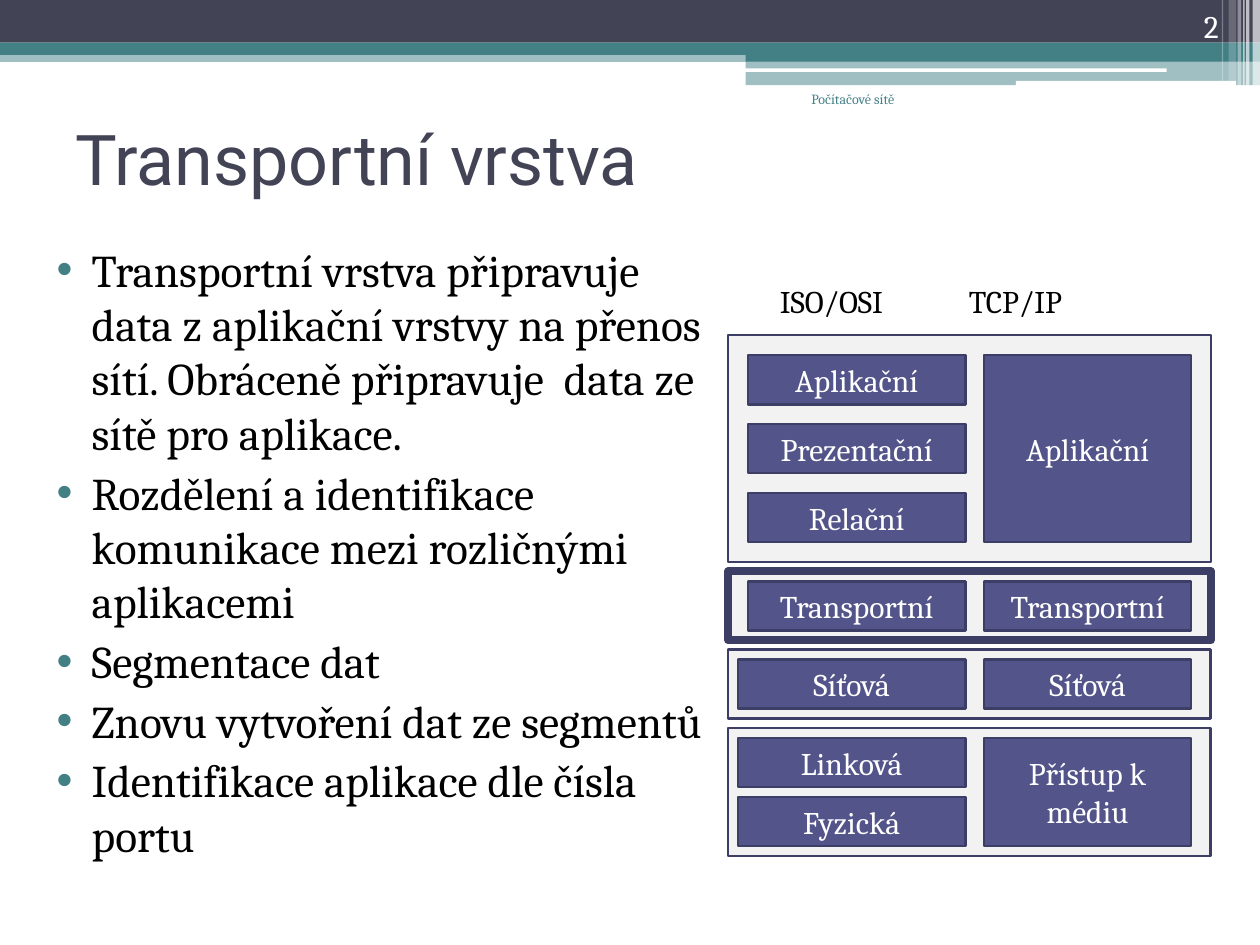
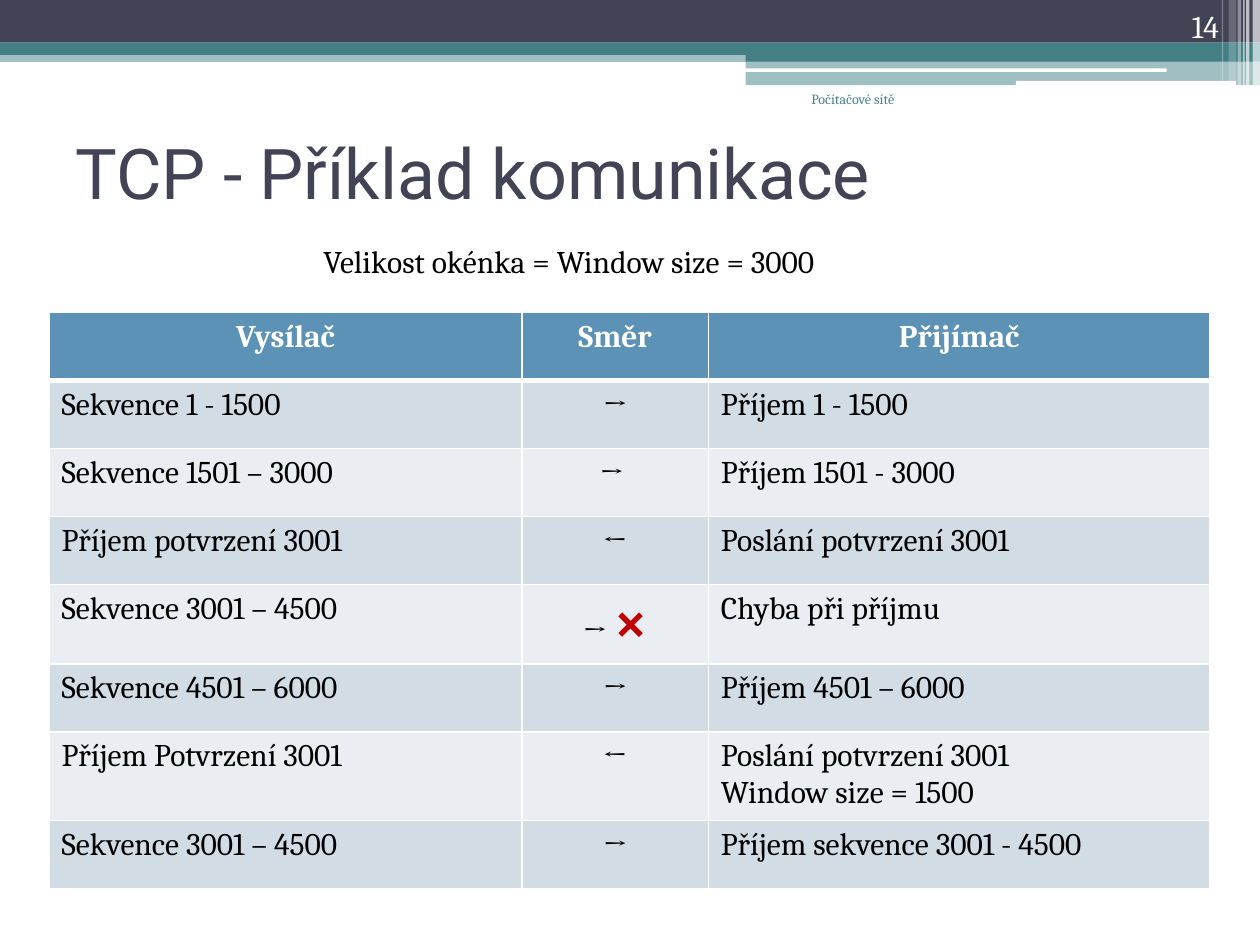
"""Build two slides on the transport layer: the layer models and a TCP exchange."""
from lxml import etree
from pptx import Presentation
from pptx.dml.color import RGBColor
from pptx.enum.shapes import MSO_SHAPE
from pptx.enum.text import MSO_ANCHOR, PP_ALIGN
from pptx.oxml import parse_xml
from pptx.oxml.ns import nsdecls, qn
from pptx.util import Cm, Pt

RECTANGLE, ROUNDED = MSO_SHAPE.RECTANGLE, MSO_SHAPE.ROUNDED_RECTANGLE
LEFT, CENTER, RIGHT = PP_ALIGN.LEFT, PP_ALIGN.CENTER, PP_ALIGN.RIGHT
TOP, MIDDLE, BOTTOM = MSO_ANCHOR.TOP, MSO_ANCHOR.MIDDLE, MSO_ANCHOR.BOTTOM

BLACK = RGBColor(0x00, 0x00, 0x00)
WHITE = RGBColor(0xFF, 0xFF, 0xFF)
SLATE = RGBColor(0x42, 0x44, 0x56)
TEAL = RGBColor(0x43, 0x80, 0x86)
INDIGO = RGBColor(0x53, 0x54, 0x8A)
DARK_INDIGO = RGBColor(0x3D, 0x3E, 0x66)
PALE_GREY = RGBColor(0xF2, 0xF2, 0xF2)
HEADER_BLUE = RGBColor(0x5C, 0x92, 0xB5)
ROW_FILLS = [RGBColor(0xEA, 0xEE, 0xF3), RGBColor(0xD2, 0xDC, 0xE5)]
RED = RGBColor(0xC0, 0x00, 0x00)

BODY_FONT, TITLE_FONT = "Cambria", "Roboto"


def write(frame, text, size=18, color=BLACK, font=BODY_FONT, bold=False, align=LEFT, anchor=TOP):
    frame.word_wrap = True
    frame.vertical_anchor = anchor
    for index, line in enumerate(text.split("\n")):
        paragraph = frame.add_paragraph() if index else frame.paragraphs[0]
        paragraph.alignment = align
        run = paragraph.add_run()
        run.text = line
        run.font.size = Pt(size)
        run.font.name = font
        run.font.bold = bold
        run.font.color.rgb = color


def add_block(slide, box, fill, alpha=100, kind=RECTANGLE, line_width=0):
    shape = slide.shapes.add_shape(kind, *map(Cm, box))
    shape.shadow.inherit = False
    shape.fill.solid()
    shape.fill.fore_color.rgb = fill
    if alpha < 100:
        color = shape.fill._xPr.find(qn("a:solidFill"))[0]
        etree.SubElement(color, qn("a:alpha"), val=str(alpha * 1000))
    if line_width:
        shape.line.color.rgb = DARK_INDIGO
        shape.line.width = Pt(line_width)
    else:
        shape.line.fill.background()
    return shape


presentation = Presentation()
presentation.slide_width = Cm(25.4)
presentation.slide_height = Cm(19.05)
blank_layout = presentation.slide_layouts[6]

bands = [
    ((0, 1.02, 25.4, 0.23), TEAL, 50, RECTANGLE),
    ((0, 0, 25.4, 0.86), SLATE, 100, RECTANGLE),
    ((0, 0.86, 25.4, 0.25), TEAL, 100, RECTANGLE),
    ((15.03, 0.99, 10.37, 0.25), TEAL, 100, RECTANGLE),
    ((15.03, 1.22, 10.37, 0.5), TEAL, 50, RECTANGLE),
    ((15.01, 1.38, 8.51, 0.07), WHITE, 100, ROUNDED),
    ((20.48, 1.63, 4.44, 0.1), WHITE, 100, ROUNDED),
]
stripes = [
    (25.25, 0.15, 1.73, 65), (25.12, 0.07, 1.73, 65), (25.06, 0.03, 1.73, 60),
    (24.95, 0.07, 1.73, 40), (24.77, 0.15, 1.63, 20), (24.63, 0.03, 1.63, 30),
]
bands += [((left, 0, width, height), WHITE, alpha, RECTANGLE)
          for left, width, height, alpha in stripes]

slides = []
for title, title_height, number in [("Transportní vrstva", 2.39, "2"),
                                    ("TCP - Příklad komunikace", 2.97, "14")]:
    slide = presentation.slides.add_slide(blank_layout)
    for box, fill, alpha, kind in bands:
        add_block(slide, box, fill, alpha, kind)
    title_box = slide.shapes.add_textbox(Cm(1.27), Cm(1.98), Cm(22.86), Cm(title_height))
    write(title_box.text_frame, title, size=40, color=SLATE, font=TITLE_FONT, anchor=MIDDLE)
    footer = slide.shapes.add_textbox(Cm(14.6), Cm(1.7), Cm(3.68), Cm(1.27))
    write(footer.text_frame, "Počítačové sítě", size=8, color=TEAL, align=RIGHT)
    number_box = slide.shapes.add_textbox(Cm(22.71), Cm(0), Cm(2.11), Cm(1.02))
    write(number_box.text_frame, number, color=WHITE, align=RIGHT, anchor=BOTTOM)
    slides.append(slide)
layers_slide, exchange_slide = slides

points = [
    "Transportní vrstva připravuje data z aplikační vrstvy na přenos sítí. "
    "Obráceně připravuje  data ze sítě pro aplikace.",
    "Rozdělení a identifikace komunikace mezi rozličnými aplikacemi",
    "Segmentace dat",
    "Znovu vytvoření dat ze segmentů",
    "Identifikace aplikace dle čísla portu",
]
body = layers_slide.shapes.add_textbox(Cm(0.58), Cm(4.75), Cm(14.1), Cm(13.89))
write(body.text_frame, "\n".join(points), size=25.9)
for paragraph in body.text_frame.paragraphs:
    paragraph.space_before = Pt(3)
    properties = paragraph._p.get_or_add_pPr()
    properties.set("marL", str(Cm(1.02)))
    properties.set("indent", str(-Cm(0.71)))
    bullet_color = etree.SubElement(properties, qn("a:buClr"))
    etree.SubElement(bullet_color, qn("a:srgbClr"), val=str(TEAL))
    etree.SubElement(properties, qn("a:buFont"), typeface="Arial")
    etree.SubElement(properties, qn("a:buChar"), char="•")

FRAME_LEFT, FRAME_WIDTH, FRAME_GAP = 14.68, 9.73, 0.19
OSI_RIGHT, TCP_LEFT, TCP_WIDTH, LAYER_HEIGHT = 19.46, 19.84, 4.17, 0.99
layer_groups = [
    (["Aplikační", "Prezentační", "Relační"], "Aplikační", 0.4, 0.4, 1),
    (["Transportní"], "Transportní", 0.4, 0.2, 4.5),
    (["Síťová"], "Síťová", 0.2, 0.2, 1.5),
    (["Linková", "Fyzická"], "Přístup k médiu", 0.2, 0.2, 1.5),
]
frame_top = 6.76
for osi_layers, tcp_layer, side_inset, gap, line_width in layer_groups:
    tcp_height = len(osi_layers) * (LAYER_HEIGHT + gap) - gap
    frame_height = tcp_height + 2 * gap
    add_block(layers_slide, (FRAME_LEFT, frame_top, FRAME_WIDTH, frame_height), PALE_GREY,
              line_width=line_width)
    osi_left = FRAME_LEFT + side_inset
    layers = [(name, (osi_left, frame_top + gap + row * (LAYER_HEIGHT + gap),
                      OSI_RIGHT - osi_left, LAYER_HEIGHT))
              for row, name in enumerate(osi_layers)]
    layers.append((tcp_layer, (TCP_LEFT, frame_top + gap, TCP_WIDTH, tcp_height)))
    for name, box in layers:
        layer = add_block(layers_slide, box, INDIGO, line_width=1.5)
        write(layer.text_frame, name, color=WHITE, align=CENTER, anchor=MIDDLE)
    frame_top += frame_height + FRAME_GAP

models = layers_slide.shapes.add_textbox(Cm(15.47), Cm(5.56), Cm(7.77), Cm(1.02))
write(models.text_frame, "ISO/OSI\t\tTCP/IP")

exchange = [
    ("Vysílač", "Směr", "Přijímač"),
    ("Sekvence 1 - 1500", "→", "Příjem 1 - 1500"),
    ("Sekvence 1501 – 3000", "→ ", "Příjem 1501 - 3000"),
    ("Příjem potvrzení 3001", "←", "Poslání potvrzení 3001"),
    ("Sekvence 3001 – 4500", "→ ", "Chyba při příjmu"),
    ("Sekvence 4501 – 6000", "→", "Příjem 4501 – 6000"),
    ("Příjem Potvrzení 3001", "←", "Poslání potvrzení 3001\nWindow size = 1500"),
    ("Sekvence 3001 – 4500", "→", "Příjem sekvence 3001 - 4500"),
]
LOST_ROW = 4
column_widths = [9.53, 3.76, 10.11]
row_height = 1.37
table = exchange_slide.shapes.add_table(
    len(exchange), len(column_widths), Cm(0.99), Cm(6.3),
    Cm(sum(column_widths)), Cm(row_height * len(exchange))).table
table.horz_banding = False
for column, width in zip(table.columns, column_widths):
    column.width = Cm(width)
for row, texts in enumerate(exchange):
    table.rows[row].height = Cm(row_height)
    header = row == 0
    for column, text in enumerate(texts):
        cell = table.cell(row, column)
        write(cell.text_frame, text, color=WHITE if header else BLACK, bold=header,
              align=CENTER if header or column == 1 else LEFT)
        cell.fill.solid()
        cell.fill.fore_color.rgb = HEADER_BLUE if header else ROW_FILLS[row % 2]
        cell_properties = cell._tc.get_or_add_tcPr()
        for index, side in enumerate("LRTB"):
            thick = (row, side) in [(0, "B"), (1, "T")]
            cell_properties.insert(index, parse_xml(
                f'<a:ln{side} {nsdecls("a")} w="{Pt(3 if thick else 1)}">'
                f'<a:solidFill><a:srgbClr val="{WHITE}"/></a:solidFill></a:ln{side}>'))

lost_mark = table.cell(LOST_ROW, 1).text_frame.paragraphs[0].add_run()
lost_mark.text = "×"
lost_mark.font.size = Pt(32)
lost_mark.font.name = BODY_FONT
lost_mark.font.bold = True
lost_mark.font.color.rgb = RED

window_note = exchange_slide.shapes.add_textbox(Cm(6.27), Cm(4.75), Cm(11.58), Cm(1.02))
write(window_note.text_frame, "Velikost okénka = Window size = 3000")

presentation.save("out.pptx")
